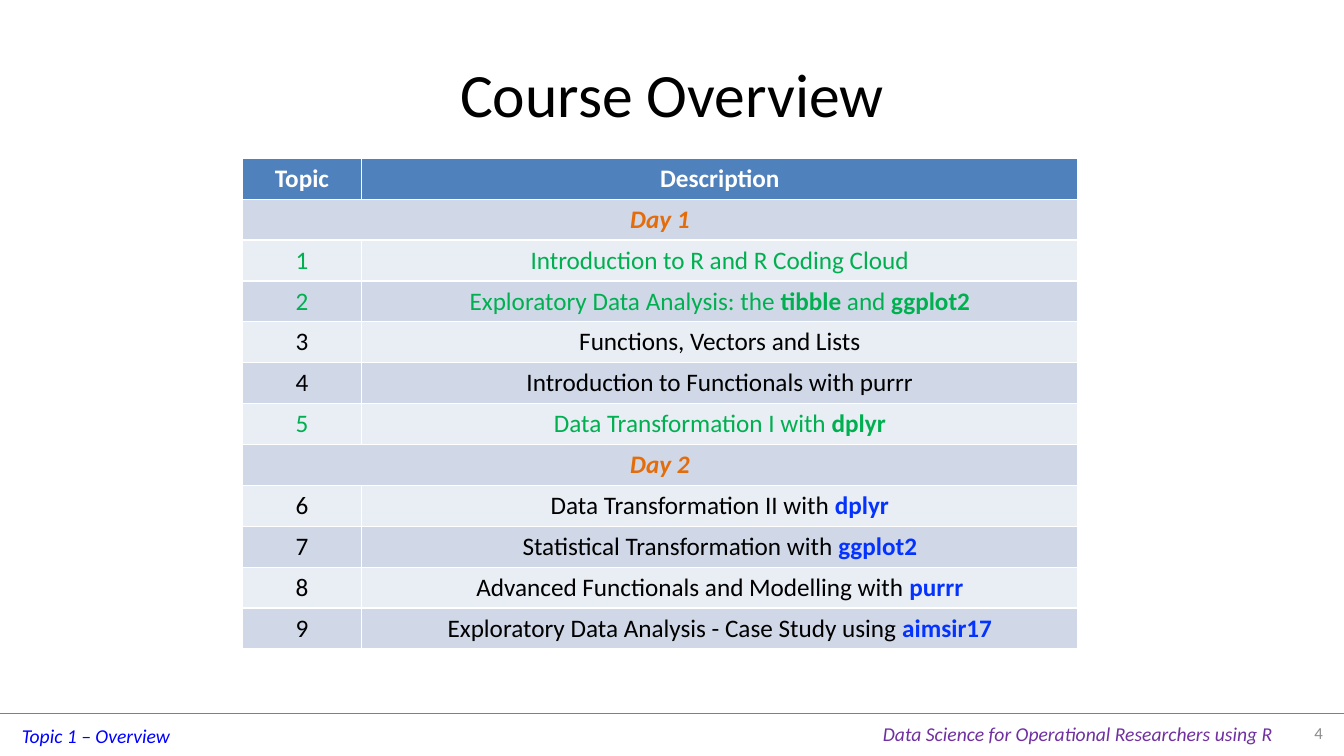
from lxml import etree
from pptx import Presentation
from pptx import util as u
from pptx.dml import color
from pptx.enum import shapes, text
from pptx.oxml import ns

FONT = "Calibri"
HEX = {
    "black": "000000", "white": "FFFFFF", "head": "4F81BD",
    "dark": "D0D8E8", "light": "E9EDF4", "day": "E46C0A",
    "done": "00B050", "code": "0432FF", "topic": "0000FF",
    "course": "7030A0", "rule": "808080", "page": "8C8C8C",
}
TOPICS = [
    ("Day 1",),
    ("1", "done", [("Introduction to R and R Coding Cloud",)]),
    ("2", "done", [("Exploratory Data Analysis: the ",), ("tibble", "done"),
                   (" and ",), ("ggplot2", "done")]),
    ("3", "black", [("Functions, Vectors and Lists",)]),
    ("4", "black", [("Introduction to Functionals with purrr",)]),
    ("5", "done", [("Data Transformation I with ",), ("dplyr", "done")]),
    ("Day 2",),
    ("6", "black", [("Data Transformation II with ",), ("dplyr", "code")]),
    ("7", "black", [("Statistical Transformation with ",), ("ggplot2", "code")]),
    ("8", "black", [("Advanced Functionals and Modelling with ",), ("purrr", "code")]),
    ("9", "black", [("Exploratory Data Analysis - Case Study using ",),
                    ("aimsir17", "code")]),
]


def rgb(name):
    return color.RGBColor.from_string(HEX[name])


def add_run(para, words, size, tint, bold=False, italic=False):
    run = para.add_run()
    run.text = words
    font = run.font
    font.name, font.size = FONT, u.Pt(size)
    font.bold, font.italic = bold, italic
    font.color.rgb = rgb(tint)


def add_label(slide, box, words, size, tint, align, italic=False, wrap=False):
    frame = slide.shapes.add_textbox(*map(u.Cm, box)).text_frame
    frame.word_wrap = wrap
    frame.vertical_anchor = text.MSO_ANCHOR.MIDDLE
    para = frame.paragraphs[0]
    para.alignment = align
    add_run(para, words, size, tint, italic=italic)


def add_title(slide, box, words):
    title = slide.shapes.title
    title.left, title.top, title.width, title.height = map(u.Cm, box)
    frame = title.text_frame
    frame.vertical_anchor = text.MSO_ANCHOR.MIDDLE
    para = frame.paragraphs[0]
    para.alignment = text.PP_ALIGN.CENTER
    add_run(para, words, 44, "black")


def fill_cell(cell, back, runs):
    cell.fill.solid()
    cell.fill.fore_color.rgb = rgb(back)
    para = cell.text_frame.paragraphs[0]
    para.alignment = text.PP_ALIGN.CENTER
    for words, tint, bold, italic in runs:
        add_run(para, words, 18, tint, bold, italic)


def add_topics(slide, box):
    left, top, width, height = box
    count = len(TOPICS) + 1
    table = slide.shapes.add_table(count, 2, *map(u.Cm, box)).table
    first = 3.02
    table.columns[0].width = u.Cm(first)
    table.columns[1].width = u.Cm(width - first)
    for row in table.rows:
        row.height = u.Cm(height / count)
    for col, words in enumerate(("Topic", "Description")):
        fill_cell(table.cell(0, col), "head", [(words, "white", True, False)])
    for row, topic in enumerate(TOPICS, 1):
        back = "dark" if row % 2 else "light"
        cell = table.cell(row, 0)
        if len(topic) == 1:
            cell.merge(table.cell(row, 1))
            fill_cell(cell, back, [(topic[0], "day", True, True)])
            continue
        number, tint, parts = topic
        fill_cell(cell, back, [(number, tint, False, False)])
        runs = [(part[0], part[-1] if len(part) > 1 else tint, len(part) > 1, False)
                for part in parts]
        fill_cell(table.cell(row, 1), back, runs)


def add_footer(slide, box):
    left, top, width, height = box
    rule = slide.shapes.add_connector(
        shapes.MSO_CONNECTOR.STRAIGHT,
        u.Cm(left), u.Cm(top), u.Cm(left + width), u.Cm(top))
    rule.line.color.rgb = rgb("rule")
    rule.line.width = u.Pt(0.25)
    etree.SubElement(rule._element.spPr, ns.qn("a:effectLst"))
    right = left + width
    add_label(slide, (left + 0.3, top + 0.15, 4.27, 0.86), "Topic 1 – Overview",
              14, "topic", text.PP_ALIGN.LEFT, italic=True)
    add_label(slide, (right - 11.87, top + 0.1, 10.44, 0.86),
              "Data Science for Operational Researchers using R",
              14, "course", text.PP_ALIGN.LEFT, italic=True)
    add_label(slide, (right - 1.68, top, 1.4, 1), "4",
              12, "page", text.PP_ALIGN.RIGHT, wrap=True)


def main():
    deck = Presentation()
    deck.slide_width, deck.slide_height = u.Cm(33.87), u.Cm(19.05)
    slide = deck.slides.add_slide(deck.slide_layouts[5])
    add_footer(slide, (0, 17.96, 33.87, 1.09))
    add_title(slide, (1.7, 0.76, 30.48, 3.18), "Course Overview")
    add_topics(slide, (6.1, 3.99, 21.06, 12.36))
    deck.save("out.pptx")


if __name__ == "__main__":
    main()
